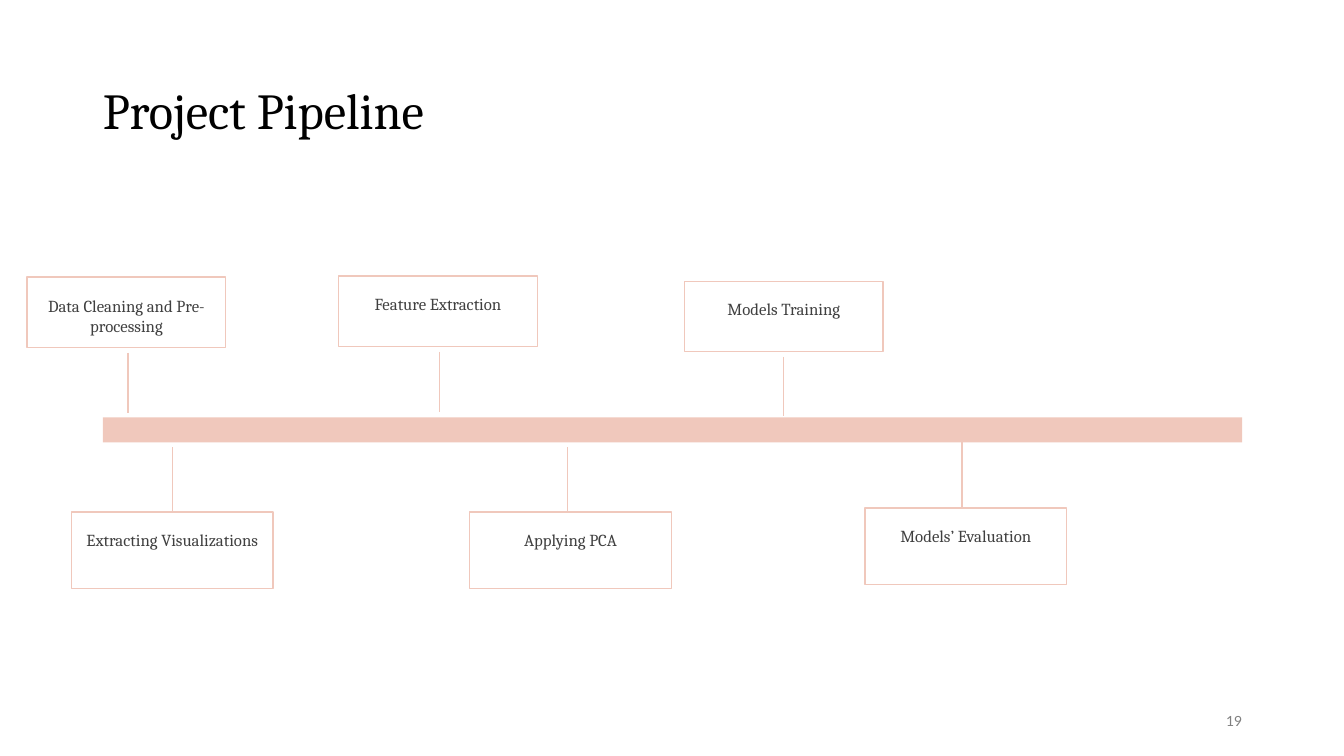
import pptx
import pptx.util
import pptx.dml.color
import pptx.enum.shapes
import pptx.enum.text
import pptx.oxml.ns
from lxml import etree

Inches, Pt = pptx.util.Inches, pptx.util.Pt
ALIGN = pptx.enum.text.PP_ALIGN
ANCHOR = pptx.enum.text.MSO_ANCHOR
RECT = pptx.enum.shapes.MSO_SHAPE.RECTANGLE
STRAIGHT = pptx.enum.shapes.MSO_CONNECTOR.STRAIGHT

TITLE = "Project Pipeline"
PAGE = "19"
# Label, box left, box top, stem x, stem end nearest the bar
STEPS_ABOVE = [
    ("Data Cleaning and Pre-processing", 0.27, 2.75, 1.27, 4.10),
    ("Feature Extraction", 3.36, 2.74, 4.36, 4.09),
    ("Models Training", 6.79, 2.79, 7.77, 4.13),
]
STEPS_BELOW = [
    ("Extracting Visualizations", 0.71, 5.08, 1.71, 4.43),
    ("Applying PCA", 4.66, 5.08, 5.63, 4.43),
    ("Models’ Evaluation", 8.58, 5.04, 9.54, 4.39),
]
COLORS = {"pink": "F0C8BC", "title": "000000", "label": "404040", "page": "808080"}
ABOVE_SIZE, BELOW_SIZE = (1.97, 0.7), (2, 0.76)
STEM_GAP = 0.05


def rgb(name):
    return pptx.dml.color.RGBColor.from_string(COLORS[name])


def write(tf, text, size, font, color, align, spacing=None):
    tf.word_wrap = True
    tf.text = text
    p = tf.paragraphs[0]
    p.alignment = align
    if spacing:
        p.line_spacing = spacing
    r = p.runs[0]
    r.font.size, r.font.name = Pt(size), font
    r.font.color.rgb = rgb(color)


def add_rect(s, x, y, w, h):
    sp = s.shapes.add_shape(RECT, Inches(x), Inches(y), Inches(w), Inches(h))
    sp.shadow.inherit = False
    return sp


def add_step(s, label, x, y, size):
    sp = add_rect(s, x, y, *size)
    sp.fill.background()
    sp.line.color.rgb = rgb("pink")
    sp.line.width = Pt(1)
    tf = sp.text_frame
    tf.vertical_anchor = ANCHOR.TOP
    tf.margin_left = tf.margin_right = Inches(0.1)
    tf.margin_top, tf.margin_bottom = Inches(0.2), 0
    write(tf, label, 12, "Cambria", "label", ALIGN.CENTER, 0.9 if len(label) < 30 else 1.0)
    if len(label) >= 30:
        tf.margin_top = Inches(0.18)


def add_stem(s, x, y1, y2):
    line = s.shapes.add_connector(STRAIGHT, Inches(x), Inches(y1), Inches(x), Inches(y2))
    line.line.color.rgb = rgb("pink")
    line.line.width = Pt(1)
    etree.SubElement(line._element.spPr, pptx.oxml.ns.qn("a:effectLst"))


def main():
    prs = pptx.Presentation()
    prs.slide_width, prs.slide_height = Inches(13.33), Inches(7.5)
    s = prs.slides.add_slide(prs.slide_layouts[5])

    # Title
    title = s.shapes.title
    title.left, title.top = Inches(0.92), Inches(0.77)
    title.width, title.height = Inches(11.5), Inches(0.7)
    title.text_frame.vertical_anchor = ANCHOR.MIDDLE
    title.text_frame.auto_size = pptx.enum.text.MSO_AUTO_SIZE.NONE
    write(title.text_frame, TITLE, 36, "Cambria", "title", ALIGN.LEFT, 0.9)

    # Steps above the bar, each with a stem just under its box
    for label, x, y, stem_x, stem_end in STEPS_ABOVE:
        add_step(s, label, x, y, ABOVE_SIZE)
        add_stem(s, stem_x, y + ABOVE_SIZE[1] + STEM_GAP, stem_end)

    # Steps below the bar, each with a stem from its top edge
    for label, x, y, stem_x, stem_end in STEPS_BELOW:
        add_step(s, label, x, y, BELOW_SIZE)
        add_stem(s, stem_x, y, stem_end)

    # Timeline bar
    bar = add_rect(s, 1.02, 4.14, 11.3, 0.25)
    bar.fill.solid()
    bar.fill.fore_color.rgb = rgb("pink")
    bar.line.fill.background()

    # Page number
    page = s.shapes.add_textbox(Inches(9.42), Inches(6.95), Inches(3), Inches(0.4))
    page.text_frame.vertical_anchor = ANCHOR.MIDDLE
    write(page.text_frame, PAGE, 10, "Lato", "page", ALIGN.RIGHT)

    prs.save("out.pptx")


if __name__ == "__main__":
    main()
